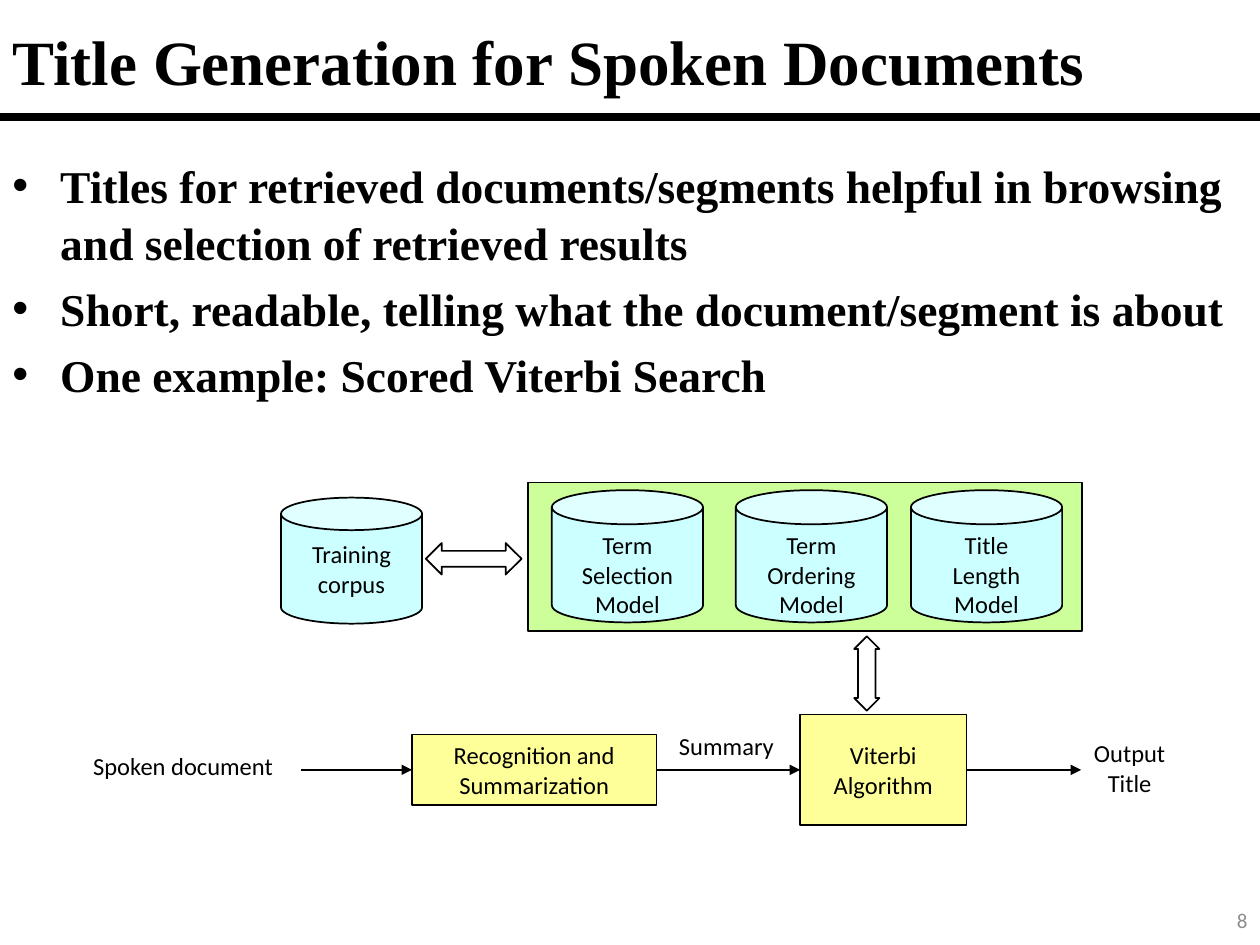
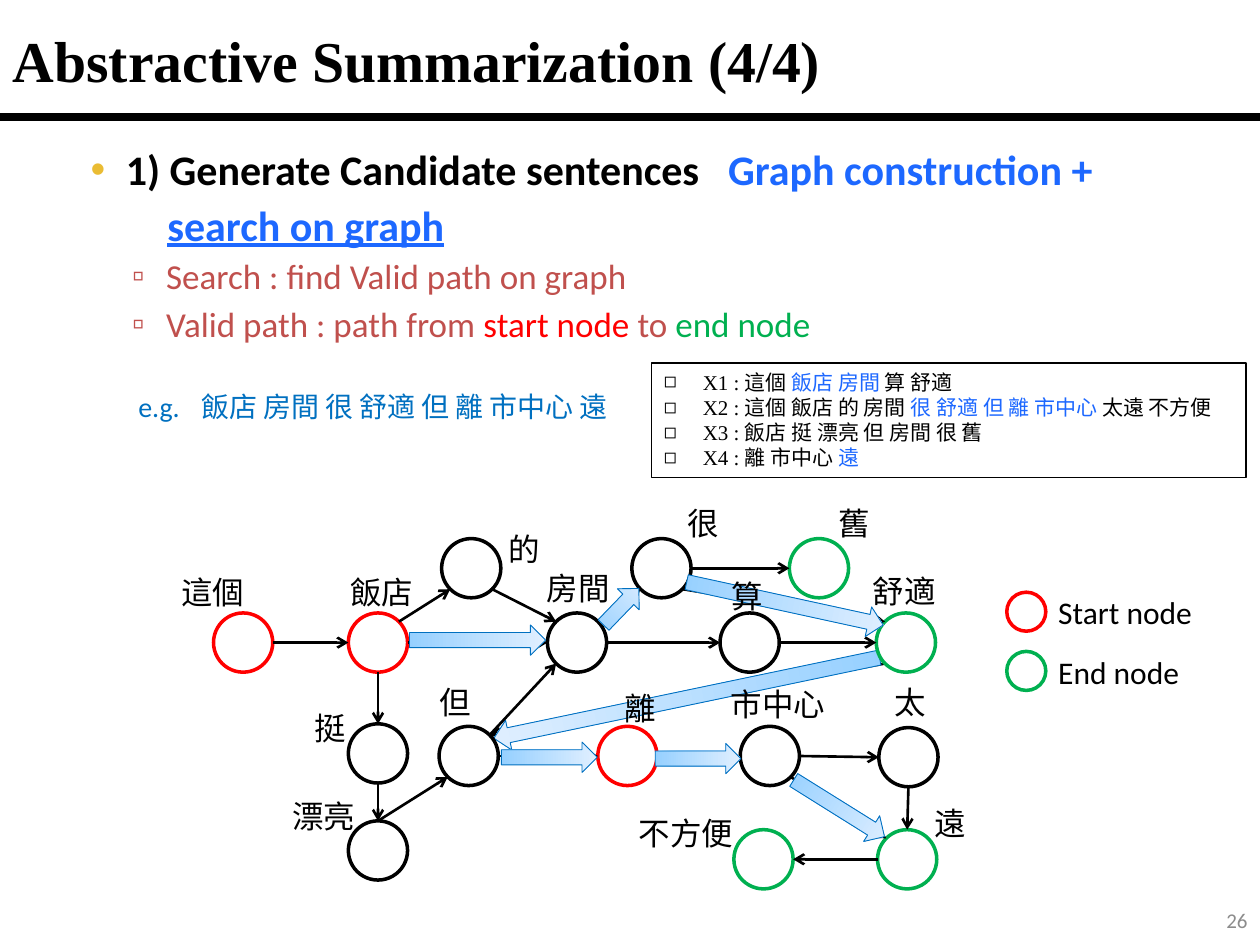
import math
from lxml import etree
from pptx import Presentation
from pptx import util as u
from pptx.dml.color import RGBColor
from pptx.enum import shapes, text
from pptx.oxml.ns import qn

WIDTH, HEIGHT = 10, 7.5
SERIF, SANS, CJK = "Times New Roman", "Calibri", "Arial"
BLACK, WHITE, GREY = "000000", "FFFFFF", "8C8C8C"
RED, GREEN, BRICK, GOLD = "FF0000", "00B050", "C0504D", "EABC33"
BLUE, ARROW_BLUE, PALE_BLUE, LIGHT_BLUE = "1D68FF", "0070C0", "E0EFFF", "96D0FF"
CYAN, LIME, YELLOW = "CCFFFF", "CCFF99", "FFFF99"
LEFT, CENTER, RIGHT = text.PP_ALIGN.LEFT, text.PP_ALIGN.CENTER, text.PP_ALIGN.RIGHT
TOP, MIDDLE = text.MSO_ANCHOR.TOP, text.MSO_ANCHOR.MIDDLE
FORM = shapes.MSO_SHAPE

# Title generation slide
TITLE_POINTS = [
    "Titles for retrieved documents/segments helpful in browsing and selection of retrieved results",
    "Short, readable, telling what the document/segment is about",
    "One example: Scored Viterbi Search",
]
MODELS = [  # left, lines
    (4.38, ["Term", "Selection", "Model"]),
    (5.84, ["Term", "Ordering", "Model"]),
    (7.23, ["Title", "Length", "Model"]),
]
FLOW_LABELS = [  # left, top, width, lines, alignment
    (0.64, 5.91, 1.78, ["Spoken document"], LEFT),
    (5.29, 5.75, 1.2, ["Summary"], LEFT),
    (8.57, 5.81, 0.79, ["Output", "Title"], CENTER),
]
FLOW_Y = 6.11

# Abstractive summarization slide: a run is a text or (text, colour, underlined)
GENERATE = ["1) Generate Candidate sentences\t", ("Graph construction +", BLUE)]
SEARCH = [("search on graph", BLUE, True)]
SEARCH_POINTS = [
    ["Search : find Valid path on graph"],
    ["Valid path : path from ", ("start node ", RED), "to ", ("end node", GREEN)],
]
SENTENCES = [
    ["X1 : 這個 ", ("飯店 房間 ", BLUE), "算 舒適"],
    ["X2 : 這個 飯店 的 房間 ", ("很 舒適 但 離 市中心 ", BLUE), "太遠 不方便"],
    ["X3 : 飯店 挺 漂亮 但 房間 很 舊"],
    ["X4 : 離 市中心 ", ("遠", BLUE)],
]
EXAMPLE = "e.g.\t飯店 房間 很 舒適 但 離 市中心 遠"

NODE_SIZE = 0.47
NODES = {  # word: centre, outline, label corner
    "的": ((3.74, 4.51), BLACK, (3.94, 4.16)),
    "很": ((5.25, 4.51), BLACK, (5.36, 3.95)),
    "舊": ((6.5, 4.51), GREEN, (6.56, 3.95)),
    "這個": ((1.93, 5.1), RED, (1.34, 4.5)),
    "飯店": ((3, 5.1), RED, (2.68, 4.5)),
    "房間": ((4.58, 5.1), BLACK, (4.24, 4.47)),
    "算": ((5.95, 5.1), BLACK, (5.71, 4.53)),
    "舒適": ((7.19, 5.1), GREEN, (6.83, 4.49)),
    "挺": ((3, 5.98), BLACK, (2.4, 5.58)),
    "但": ((3.72, 6), BLACK, (3.39, 5.37)),
    "離": ((4.98, 6), RED, (4.86, 5.42)),
    "市中心": ((6.11, 6), BLACK, (5.7, 5.39)),
    "太": ((7.21, 6.01), BLACK, (7, 5.37)),
    "漂亮": ((3, 6.75), BLACK, (2.22, 6.28)),
    "不方便": ((6.06, 6.82), GREEN, (4.97, 6.41)),
    "遠": ((7.2, 6.82), GREEN, (7.32, 6.33)),
}
COMPASS = {"E": 0, "SE": 45, "S": 90, "SW": 135, "W": 180, "NW": 225, "N": 270, "NE": 315}
RETURN_EDGE = ("舒適", "SW", "但", "NE")
EDGES = [
    ("這個", "E", "飯店", "W"), ("飯店", "E", "房間", "W"), ("房間", "E", "算", "W"),
    ("算", "E", "舒適", "W"), ("飯店", "NE", "的", "SW"), ("的", "SE", "房間", "NW"),
    ("房間", "NE", "很", "SW"), ("很", "E", "舊", "W"), ("很", "SE", "舒適", "NW"),
    ("飯店", "S", "挺", "N"), ("挺", "S", "漂亮", "N"), ("漂亮", "N", "但", "SW"),
    ("但", "NE", "房間", "SW"), ("但", "E", "離", "W"), ("離", "E", "市中心", "W"),
    ("市中心", "E", "太", "W"), ("市中心", "SE", "遠", "NW"), ("太", "S", "遠", "N"),
    ("遠", "W", "不方便", "E"),
]
RETURN_STEP = ((6.98, 5.22), (3.92, 5.86))
PATH_STEPS = [  # tail, tip
    ((3.25, 5.08), (4.33, 5.08)), ((4.79, 4.96), (5.07, 4.67)),
    ((5.45, 4.62), (7.01, 4.96)), ((3.98, 6.01), (4.74, 6.01)),
    ((5.2, 6.02), (5.88, 6.02)), ((6.3, 6.19), (7.02, 6.64)),
]
LEGEND = [("Start node", RED), ("End node", GREEN)]


def rgb(color):
    return RGBColor.from_string(color)


def inches(*lengths):
    return [u.Inches(length) for length in lengths]


def set_font(font, size, name, color=BLACK, bold=False):
    font.size, font.name, font.bold = u.Pt(size), name, bold
    font.color.rgb = rgb(color)


def write(shape, paragraphs, size, name, color=BLACK, bold=False, align=LEFT, anchor=TOP,
          wrap=True, bullet=None, bullet_color=BLACK, indent=(0, 0), space=0, tab=None, more=False):
    """Fill a shape with paragraphs of one style; more adds to the text already there."""
    frame = shape.text_frame
    frame.word_wrap, frame.vertical_anchor = wrap, anchor
    for index, runs in enumerate(paragraphs):
        first = index == 0 and not more
        paragraph = frame.paragraphs[0] if first else frame.add_paragraph()
        paragraph.alignment = align
        paragraph.space_before = u.Pt(0 if first else space)
        properties = paragraph._p.get_or_add_pPr()
        margin, hanging = inches(*indent)
        properties.set("marL", str(margin))
        properties.set("indent", str(hanging))
        if bullet:
            tint = etree.SubElement(properties, qn("a:buClr"))
            etree.SubElement(tint, qn("a:srgbClr"), val=bullet_color)
            etree.SubElement(properties, qn("a:buFont"), typeface="Arial")
            etree.SubElement(properties, qn("a:buChar"), char=bullet)
        if tab:
            stops = etree.SubElement(properties, qn("a:tabLst"))
            etree.SubElement(stops, qn("a:tab"), pos=str(u.Inches(tab)), algn="l")
        set_font(paragraph.font, size, name, color, bold)
        for part in [runs] if isinstance(runs, str) else runs:
            words, tint, *underlined = (part, None) if isinstance(part, str) else part
            run = paragraph.add_run()
            run.text = words
            if tint:
                run.font.color.rgb = rgb(tint)
            if underlined:
                run.font.underline = True


def add_text(slide, box, paragraphs, size, name, **style):
    shape = slide.shapes.add_textbox(*inches(*box))
    write(shape, paragraphs, size, name, **style)
    return shape


def add_form(slide, form, box, fill=None, line=BLACK, weight=1, adjust=()):
    shape = slide.shapes.add_shape(form, *inches(*box))
    shape.shadow.inherit = False
    if fill:
        shape.fill.solid()
        shape.fill.fore_color.rgb = rgb(fill)
    else:
        shape.fill.background()
    shape.line.color.rgb = rgb(line)
    shape.line.width = u.Pt(weight)
    for index, value in enumerate(adjust):
        shape.adjustments[index] = value
    return shape


def add_line(slide, start, end, weight=1, head=None):
    line = slide.shapes.add_connector(shapes.MSO_CONNECTOR.STRAIGHT, *inches(*start, *end))
    line.line.color.rgb = rgb(BLACK)
    line.line.width = u.Pt(weight)
    if head:
        etree.SubElement(line.line._get_or_add_ln(), qn("a:tailEnd"), type=head)
    etree.SubElement(line._element.spPr, qn("a:effectLst"))
    return line


def add_slide(presentation, title, title_size, number):
    """Start a slide with its title, the rule below it and the page number."""
    slide = presentation.slides.add_slide(presentation.slide_layouts[5])
    heading = slide.shapes.title
    heading.left, heading.top, heading.width, heading.height = inches(0, 0.08, WIDTH, 0.79)
    write(heading, [title], title_size, SERIF, bold=True, anchor=MIDDLE)
    add_line(slide, (0, 0.93), (WIDTH, 0.93), 4.5)
    add_text(slide, (7.75, 7.1, 2.25, 0.4), [number], 12, SANS, color=GREY, align=RIGHT, anchor=MIDDLE)
    return slide


def add_can(slide, box, lines, anchor=TOP):
    can = add_form(slide, FORM.CAN, box, CYAN, adjust=[0.258])
    write(can, lines, 14, SANS, align=CENTER, anchor=anchor, wrap=False)


def add_process(slide, left, width, height, lines):
    box = add_form(slide, FORM.RECTANGLE, (left, FLOW_Y - height / 2, width, height), YELLOW)
    write(box, lines, 14, SANS, align=CENTER, anchor=MIDDLE, wrap=False)
    return box


def build_title_generation(presentation):
    slide = add_slide(presentation, "Title Generation for Spoken Documents", 36, "8")
    points = add_text(slide, (0, 1.18, WIDTH, 2.46), TITLE_POINTS, 26, SERIF, bold=True,
                      bullet="•", indent=(0.38, -0.38), space=5)
    for paragraph in points.text_frame.paragraphs:
        paragraph.line_spacing = 1.05

    add_can(slide, (2.23, 3.95, 1.12, 1), ["Training", "corpus"], MIDDLE)
    add_form(slide, FORM.RECTANGLE, (4.19, 3.83, 4.4, 1.18), LIME)
    for left, lines in MODELS:
        add_can(slide, (left, 3.89, 1.2, 1.05), lines)
    add_form(slide, FORM.LEFT_RIGHT_ARROW, (3.38, 4.31, 0.76, 0.25), adjust=[0.5, 0.505])
    add_form(slide, FORM.UP_DOWN_ARROW, (6.78, 5.05, 0.2, 0.59), adjust=[0.5, 0.696])

    recognition = add_process(slide, 3.27, 1.94, 0.56, ["Recognition and", "Summarization"])
    viterbi = add_process(slide, 6.35, 1.32, 0.88, ["Viterbi", "Algorithm"])
    for left, top, width, lines, align in FLOW_LABELS:
        add_text(slide, (left, top, width, 0.3 * len(lines)), lines, 14, SANS, align=align, wrap=False)
    for start, source, end, target in [(2.39, None, 3.27, recognition),
                                       (5.21, recognition, 6.35, viterbi),
                                       (7.67, viterbi, 8.58, None)]:
        line = add_line(slide, (start, FLOW_Y), (end, FLOW_Y), head="triangle")
        if source:
            line.begin_connect(source, 3)
        if target:
            line.end_connect(target, 1)


def rim(word, direction):
    """Point on a node's outline in a compass direction."""
    (x, y), angle = NODES[word][0], math.radians(COMPASS[direction])
    return x + NODE_SIZE / 2 * math.cos(angle), y + NODE_SIZE / 2 * math.sin(angle)


def add_edge(slide, source, leaving, target, arriving):
    add_line(slide, rim(source, leaving), rim(target, arriving), 1.5, "arrow")


def add_path_step(slide, tail, tip, thickness=0.24):
    """Draw a block arrow from tail to tip, shaded along its length."""
    dx, dy = tip[0] - tail[0], tip[1] - tail[1]
    length = math.hypot(dx, dy)
    left = (tail[0] + tip[0] - thickness) / 2
    top = (tail[1] + tip[1] - length) / 2
    arrow = add_form(slide, FORM.DOWN_ARROW, (left, top, thickness, length), line=ARROW_BLUE, weight=0.5)
    arrow.rotation = math.degrees(math.atan2(-dx, dy)) % 360
    arrow.fill.gradient()
    arrow.fill.gradient_angle = 270
    for stop, color in zip(arrow.fill.gradient_stops, (LIGHT_BLUE, PALE_BLUE)):
        stop.color.rgb = rgb(color)


def build_abstractive(presentation):
    slide = add_slide(presentation, "Abstractive Summarization (4/4)", 33, "26")
    body = add_text(slide, (0.5, 1.09, 9.38, 1.71), [GENERATE], 24, SANS, bold=True,
                    bullet="•", bullet_color=GOLD, indent=(0.4, -0.28), tab=5.18)
    write(body, [SEARCH], 24, SANS, bold=True, indent=(0.73, 0), space=3, more=True)
    write(body, SEARCH_POINTS, 20, SANS, color=BRICK, bullet="▫", bullet_color=BRICK,
          indent=(0.72, -0.27), space=3, more=True)
    add_text(slide, (1, 3.04, 3.93, 0.37), [EXAMPLE], 16, SANS, color=ARROW_BLUE, wrap=False, tab=0.49)
    sentences = add_form(slide, FORM.RECTANGLE, (5.17, 2.88, 4.72, 0.91), weight=0.75)
    write(sentences, SENTENCES, 12, SERIF, bullet="◻", indent=(0.31, -0.31))

    add_edge(slide, *RETURN_EDGE)
    add_path_step(slide, *RETURN_STEP)
    for (x, y), color, _ in NODES.values():
        corner = x - NODE_SIZE / 2, y - NODE_SIZE / 2
        add_form(slide, FORM.OVAL, (*corner, NODE_SIZE, NODE_SIZE), WHITE, color, 2)
    for edge in EDGES:
        add_edge(slide, *edge)
    for step in PATH_STEPS:
        add_path_step(slide, *step)
    for word, (_, _, corner) in NODES.items():
        add_text(slide, (*corner, 0.2 + 0.25 * len(word), 0.4), [word], 18, CJK, wrap=False)
    for row, (label, color) in enumerate(LEGEND):
        top = 4.66 + 0.47 * row
        add_form(slide, FORM.OVAL, (7.99, top + 0.04, 0.31, 0.31), line=color, weight=2)
        add_text(slide, (8.3, top, 1.39, 0.4), [label], 18, SANS)


def main():
    presentation = Presentation()
    presentation.slide_width, presentation.slide_height = inches(WIDTH, HEIGHT)
    build_title_generation(presentation)
    build_abstractive(presentation)
    presentation.save("out.pptx")


if __name__ == "__main__":
    main()
